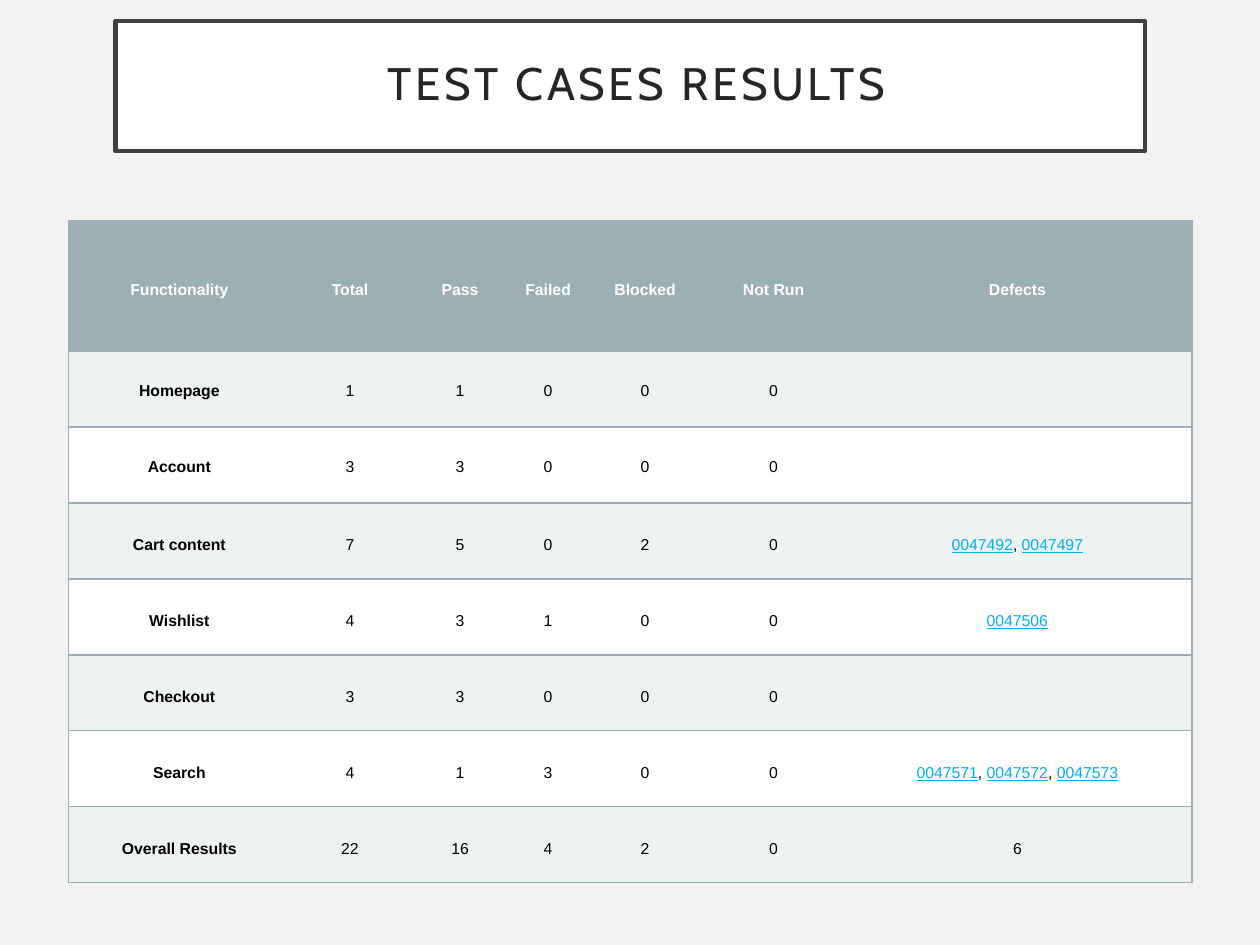
import lxml.etree
import pptx
import pptx.dml.color
import pptx.enum.shapes
import pptx.enum.text
import pptx.oxml.ns
import pptx.util
from pptx.util import Cm

RGBColor = pptx.dml.color.RGBColor
PAGE_GREY = RGBColor(0xF2, 0xF2, 0xF2)
WHITE = RGBColor(0xFF, 0xFF, 0xFF)
BLACK = RGBColor(0x00, 0x00, 0x00)
FRAME_GREY = RGBColor(0x40, 0x40, 0x40)
TITLE_GREY = RGBColor(0x26, 0x26, 0x26)
SLATE = RGBColor(0x9B, 0xAF, 0xB5)
BAND = RGBColor(0xEF, 0xF2, 0xF3)
LINK_BLUE = RGBColor(0x00, 0xB0, 0xF0)

NO_TABLE_STYLE = "{2D5ABB26-0587-4C30-8999-92F81FD0307C}"
COLUMN_WIDTHS = [4.47, 2.41, 2.03, 1.52, 2.39, 2.79, 7.04]
HEADER_HEIGHT, ROW_HEIGHT = 2.64, 1.53
RESULTS = [
    ["Functionality", "Total", "Pass", "Failed", "Blocked", "Not Run", "Defects"],
    ["Homepage", "1", "1", "0", "0", "0", ""],
    ["Account", "3", "3", "0", "0", "0", ""],
    ["Cart content", "7", "5", "0", "2", "0", "0047492, 0047497"],
    ["Wishlist", "4", "3", "1", "0", "0", "0047506"],
    ["Checkout", "3", "3", "0", "0", "0", ""],
    ["Search", "4", "1", "3", "0", "0", "0047571, 0047572, 0047573"],
    ["Overall Results", "22", "16", "4", "2", "0", "6"],
]
TIGHT_ROWS = ("Homepage", "Account")


def add_border(cell, side):
    """Draw a 1 pt line on one side of a cell: L, R, T or B, called in that order."""
    qn = pptx.oxml.ns.qn
    properties = cell._tc.get_or_add_tcPr()
    line = lxml.etree.SubElement(properties, qn(f"a:ln{side}"), w=str(pptx.util.Pt(1)))
    fill = lxml.etree.SubElement(line, qn("a:solidFill"))
    lxml.etree.SubElement(fill, qn("a:srgbClr"), val=str(SLATE))


def add_span(para, text, color, bold=False, underline=False):
    span = para.add_run()
    span.text = text
    span.font.name = "Arial"
    span.font.size = pptx.util.Pt(9)
    span.font.bold = bold
    span.font.underline = underline
    span.font.color.rgb = color


deck = pptx.Presentation()
deck.slide_width, deck.slide_height = Cm(25.4), Cm(19.05)
page = deck.slides.add_slide(deck.slide_layouts[6])
page.background.fill.solid()
page.background.fill.fore_color.rgb = PAGE_GREY

# Title
title = page.shapes.add_shape(
    pptx.enum.shapes.MSO_SHAPE.RECTANGLE, Cm(2.33), Cm(0.43), Cm(20.75), Cm(2.62))
title.shadow.inherit = False
title.fill.solid()
title.fill.fore_color.rgb = WHITE
title.line.color.rgb = FRAME_GREY
title.line.width = pptx.util.Pt(2.5)
frame = title.text_frame
frame.text = " TEST CASES RESULTS"
frame.word_wrap = True
frame.vertical_anchor = pptx.enum.text.MSO_ANCHOR.MIDDLE
frame.margin_left = frame.margin_right = Cm(0.5)
frame.margin_top = frame.margin_bottom = Cm(0.5)
para = frame.paragraphs[0]
para.alignment = pptx.enum.text.PP_ALIGN.CENTER
para.line_spacing = 0.9
span = para.runs[0]
span.font.name = "Cabin"
span.font.size = pptx.util.Pt(26)
span.font.color.rgb = TITLE_GREY
span._r.get_or_add_rPr().set("spc", "200")

# Results table
table_height = HEADER_HEIGHT + ROW_HEIGHT * (len(RESULTS) - 1)
table_frame = page.shapes.add_table(
    len(RESULTS), len(COLUMN_WIDTHS),
    Cm(1.38), Cm(4.44), Cm(sum(COLUMN_WIDTHS)), Cm(table_height))
table = table_frame.table
table.first_row = table.horz_banding = False
table._tbl.tblPr.find(pptx.oxml.ns.qn("a:tableStyleId")).text = NO_TABLE_STYLE
for column, width in zip(table.columns, COLUMN_WIDTHS):
    column.width = Cm(width)

last_column = len(COLUMN_WIDTHS) - 1
for row_index, values in enumerate(RESULTS):
    is_header = row_index == 0
    is_tight = values[0] in TIGHT_ROWS
    table.rows[row_index].height = Cm(HEADER_HEIGHT if is_header else ROW_HEIGHT)
    row_fill = SLATE if is_header else (BAND if row_index % 2 else WHITE)
    text_color = WHITE if is_header else BLACK

    for column_index, value in enumerate(values):
        cell = table.cell(row_index, column_index)
        if column_index == 0:
            add_border(cell, "L")
        if column_index == last_column:
            add_border(cell, "R")
        add_border(cell, "T")
        add_border(cell, "B")
        cell.fill.solid()
        cell.fill.fore_color.rgb = row_fill
        cell.vertical_anchor = pptx.enum.text.MSO_ANCHOR.MIDDLE
        cell.margin_left = cell.margin_right = Cm(0.18)
        cell.margin_top = cell.margin_bottom = Cm(0)
        if not value:
            continue

        para = cell.text_frame.paragraphs[0]
        para.alignment = pptx.enum.text.PP_ALIGN.CENTER
        para.line_spacing = pptx.util.Pt(12 if is_tight else 15)
        para.space_before = pptx.util.Pt(10)
        para.space_after = pptx.util.Pt(6 if is_tight else 0)
        if value.startswith("00"):
            for number_index, number in enumerate(value.split(", ")):
                if number_index:
                    add_span(para, ", ", text_color)
                add_span(para, number, LINK_BLUE, underline=True)
        else:
            add_span(para, value, text_color, bold=is_header or column_index == 0)

deck.save("out.pptx")
